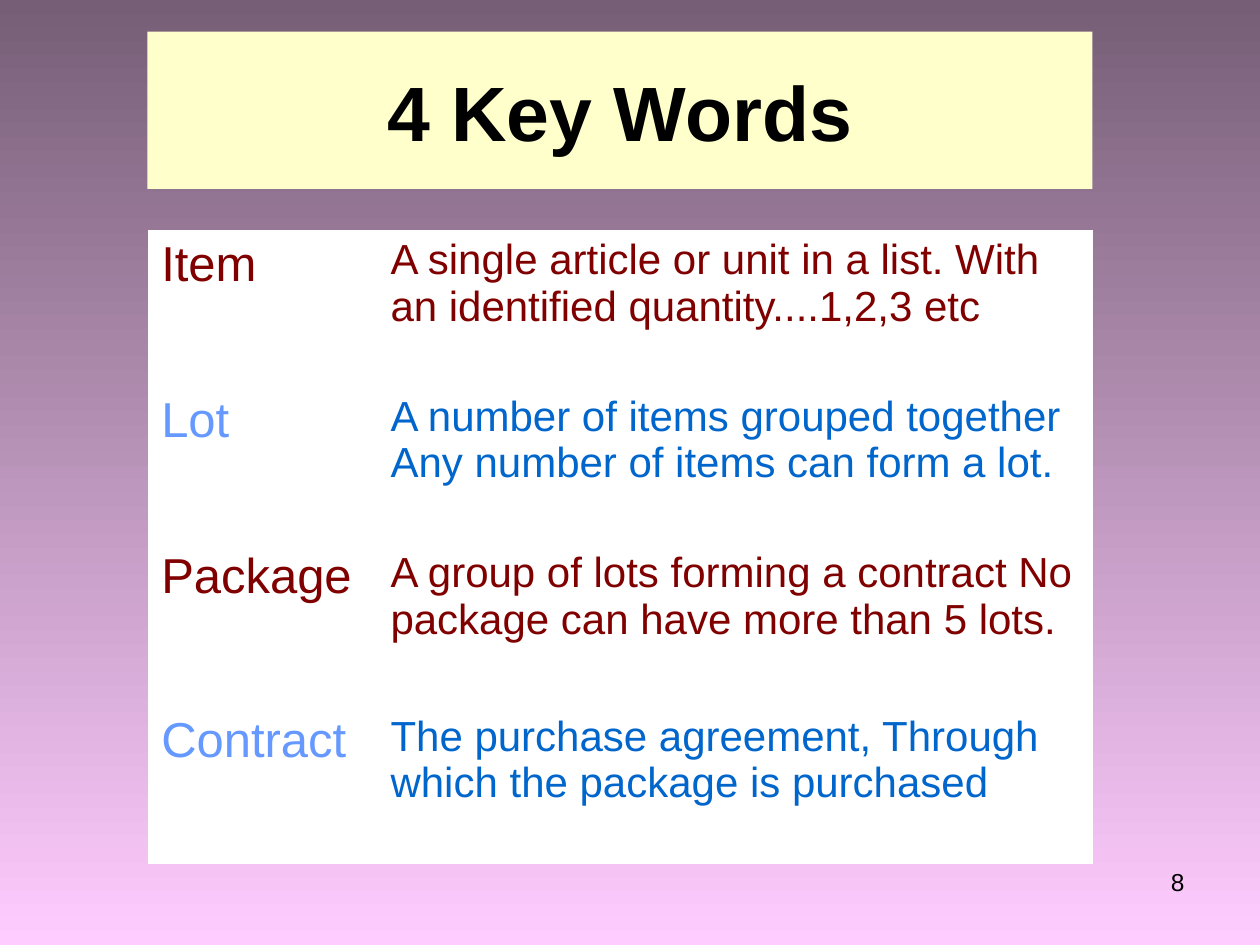
"""Build the "4 Key Words" slide: a title panel above a table of definitions."""
from pptx import Presentation
from pptx.dml.color import RGBColor
from pptx.enum.shapes import MSO_SHAPE
from pptx.enum.text import MSO_ANCHOR, PP_ALIGN
from pptx.util import Inches, Pt


def color(value):
    return RGBColor.from_string(value)


def write(frame, text, size, ink, align=PP_ALIGN.LEFT, bold=False):
    frame.word_wrap = True
    para = frame.paragraphs[0]
    para.text = text
    para.alignment = align
    para.font.name = "Arial"
    para.font.size = Pt(size)
    para.font.bold = bold
    para.font.color.rgb = color(ink)


KEY_WORDS = [
    ("Item", "A single article or unit in a list. With an identified quantity....1,2,3 etc"),
    ("Lot", "A number of items grouped together Any number of items can form a lot."),
    ("Package", "A group of lots forming a contract No package can have more than 5 lots."),
    ("Contract", "The purchase agreement, Through which the package is purchased"),
]
ROW_INKS = [("800000", "800000"), ("6699FF", "0066CC")]
COLUMN_WIDTHS = [1.82, 5.67]
ROW_HEIGHTS = [1.24, 1.24, 1.3, 1.24]
SIZES = [28, 24]

deck = Presentation()
deck.slide_width, deck.slide_height = Inches(10), Inches(7.5)
page = deck.slides.add_slide(deck.slide_layouts[6])

backdrop = page.background.fill
backdrop.gradient()
backdrop.gradient_angle = 270
for stop, position, shade in zip(backdrop.gradient_stops, (0, 1), ("765E76", "FFCCFF")):
    stop.position = position
    stop.color.rgb = color(shade)

number_box = page.shapes.add_textbox(Inches(7.17), Inches(6.83), Inches(2.33), Inches(0.52))
write(number_box.text_frame, "8", 14, "000000", PP_ALIGN.RIGHT)

title = page.shapes.add_shape(
    MSO_SHAPE.RECTANGLE, Inches(1.17), Inches(0.25), Inches(7.5), Inches(1.25))
title.shadow.inherit = False
title.fill.solid()
title.fill.fore_color.rgb = color("FFFFCC")
title.line.fill.background()
title.text_frame.vertical_anchor = MSO_ANCHOR.MIDDLE
write(title.text_frame, "4 Key Words", 44, "000000", PP_ALIGN.CENTER, bold=True)

table = page.shapes.add_table(
    len(KEY_WORDS), len(COLUMN_WIDTHS), Inches(1.18), Inches(1.83),
    Inches(sum(COLUMN_WIDTHS)), Inches(sum(ROW_HEIGHTS))).table
table.first_row = table.horz_banding = False
for column, width in zip(table.columns, COLUMN_WIDTHS):
    column.width = Inches(width)
for index, (row, height, texts) in enumerate(zip(table.rows, ROW_HEIGHTS, KEY_WORDS)):
    row.height = Inches(height)
    for cell, text, size, ink in zip(row.cells, texts, SIZES, ROW_INKS[index % 2]):
        cell.fill.solid()
        cell.fill.fore_color.rgb = color("FFFFFF")
        write(cell.text_frame, text, size, ink)

deck.save("out.pptx")
